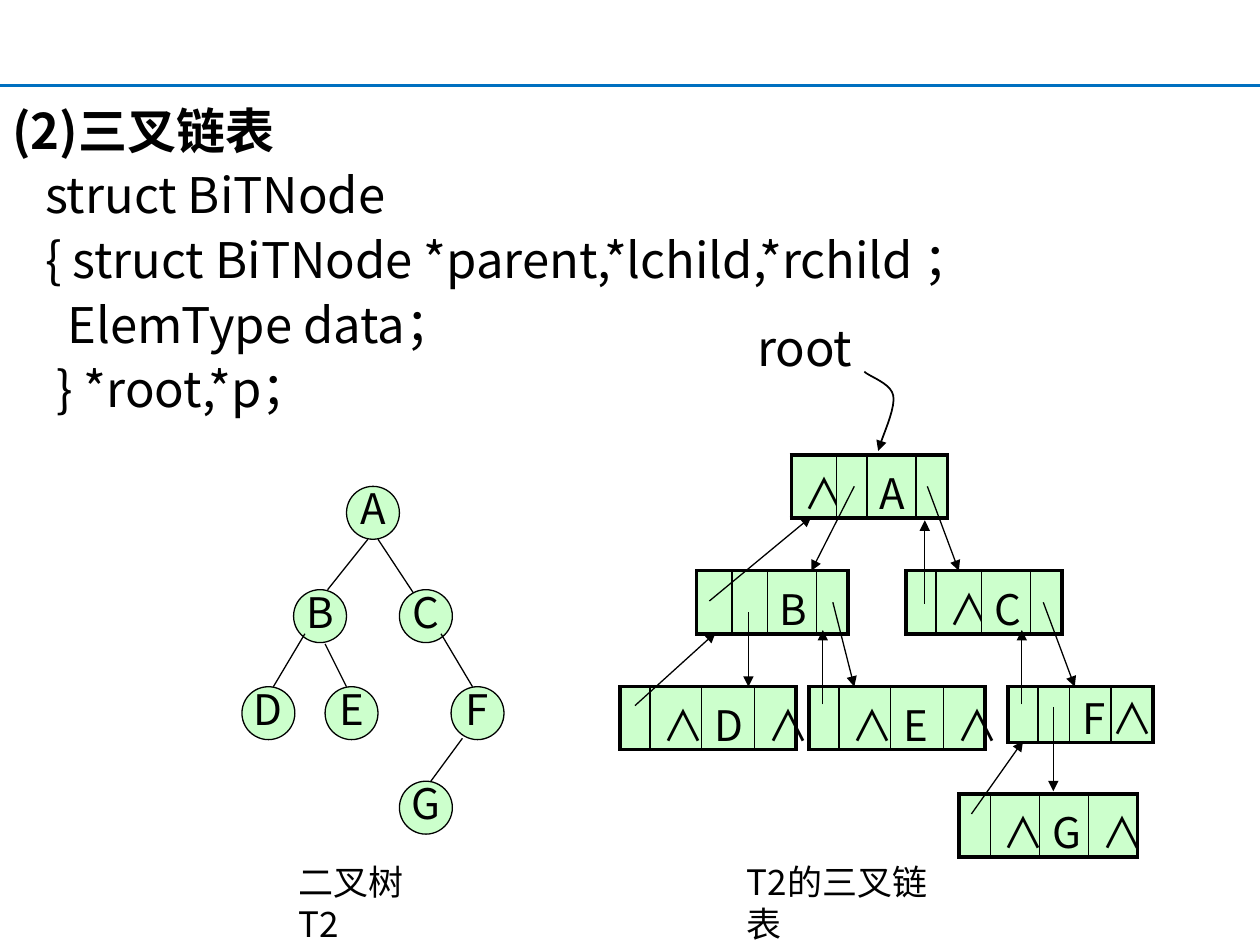
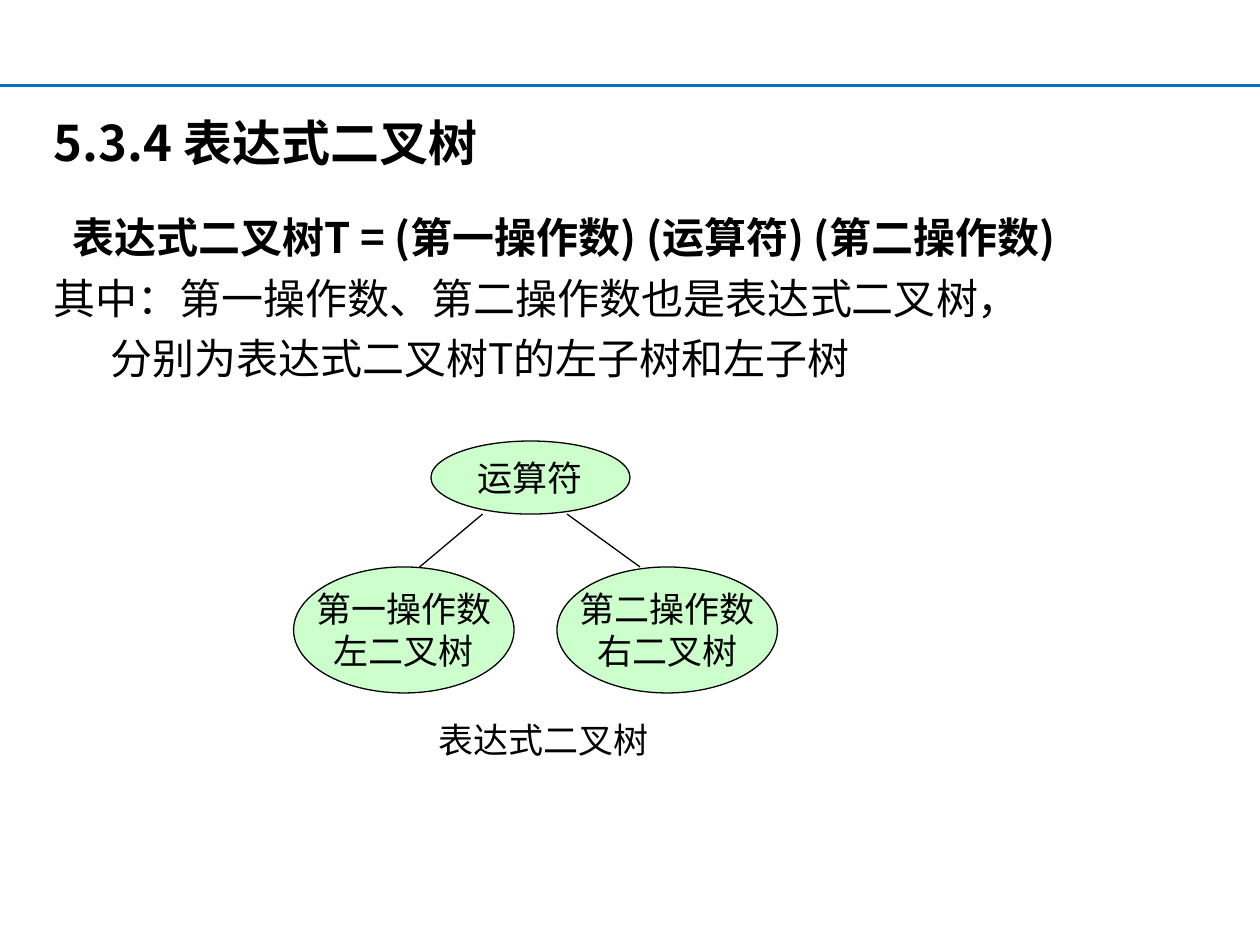
from pptx import Presentation
from pptx.dml.color import RGBColor
from pptx.enum.shapes import MSO_CONNECTOR, MSO_SHAPE
from pptx.enum.text import MSO_ANCHOR, PP_ALIGN
from pptx.oxml.ns import qn
from pptx.util import Inches, Pt
from lxml.etree import SubElement

FONT = "Noto Sans CJK SC"
BLACK = RGBColor(0x00, 0x00, 0x00)
RULE_BLUE = RGBColor(0x00, 0x70, 0xC0)
NODE_GREEN = RGBColor(0xCC, 0xFF, 0xCC)
NODE_SIZE = 0.42
THIN, THICK = 1, 2.25

TREE_NODES = {
    "C": (1.25, 0.82), "A": (0.83, 0), "F": (1.66, 1.59), "B": (0.41, 0.82),
    "D": (0, 1.59), "E": (0.66, 1.59), "G": (1.25, 2.34),
}
ROOT_EDGES = [((1, 0.42), (0.68, 0.82)), ((1.08, 0.42), (1.41, 0.92))]
LOWER_EDGES = [
    ((0.5, 1.17), (0.25, 1.59)), ((0.66, 1.25), (0.83, 1.59)),
    ((1.58, 1.17), (1.83, 1.59)), ((1.75, 2), (1.5, 2.34)),
]

# Each record: left, top, column widths, cell texts (parent, left, data, right)
RECORDS = [
    (1.36, 1.01, (0.36, 0.22, 0.39, 0.25), ("∧", "", "A", "")),
    (0.61, 1.93, (0.28, 0.28, 0.39, 0.25), ("", "", "B", "")),
    (2.27, 1.93, (0.22, 0.36, 0.39, 0.25), ("", "∧", "C", "")),
    (0, 2.85, (0.22, 0.41, 0.42, 0.33), ("", "∧", "D", "∧")),
    (1.5, 2.85, (0.22, 0.41, 0.42, 0.33), ("", "∧", "E", "∧")),
    (2.69, 3.7, (0.25, 0.39, 0.39, 0.39), ("", "∧", "G", "∧")),
]
COMPACT_RECORD = (3.08, 2.85, (0.22, 0.25, 0.33, 0.33), ("", "", "F", "∧"))
CHILD_POINTERS = [
    ((1.86, 1.26), (1.52, 1.93)), ((1.02, 2.26), (1.02, 2.85)),
    ((1.69, 2.18), (1.86, 2.85)), ((2.44, 1.26), (2.69, 1.93)),
    ((3.36, 2.18), (3.61, 2.85)), ((3.44, 3.01), (3.44, 3.68)),
]
PARENT_POINTERS = [
    ((0.71, 2.17), (1.52, 1.5)), ((0.12, 3), (0.76, 2.42)),
    ((1.61, 2.99), (1.61, 2.4)), ((2.42, 2.19), (2.42, 1.53)),
    ((2.79, 3.86), (3.2, 3.28)), ((3.19, 2.99), (3.19, 2.4)),
]
ROOT_CURVE = [
    ((1.94, 0.35), (1.98, 0.39), (2.15, 0.44), (2.17, 0.54)),
    ((2.17, 0.54), (2.19, 0.65), (2.07, 0.89), (2.05, 0.98)),
]


def add_run(paragraph, text, size, bold=False):
    run = paragraph.add_run()
    run.text = text
    run.font.size = Pt(size)
    run.font.bold = bold
    run.font.name = FONT
    run.font.color.rgb = BLACK
    SubElement(run.font._element, qn("a:ea"), typeface=FONT)


def fill_lines(frame, lines, size, spacing=1.0, alignment=None):
    """Write lines of (text, left indent, bold), one paragraph each."""
    for index, (text, indent, bold) in enumerate(lines):
        paragraph = frame.paragraphs[0] if index == 0 else frame.add_paragraph()
        paragraph.line_spacing = spacing
        paragraph.alignment = alignment
        if indent:
            paragraph._p.get_or_add_pPr().set("marL", str(Inches(indent)))
        add_run(paragraph, text, size, bold)


def add_text(slide, left, top, width, height, lines, size, spacing=1.0, wrap=True):
    box = slide.shapes.add_textbox(Inches(left), Inches(top), Inches(width), Inches(height))
    box.text_frame.word_wrap = wrap
    fill_lines(box.text_frame, lines, size, spacing)
    return box.text_frame


def add_arrowhead(line):
    SubElement(line._get_or_add_ln(), qn("a:tailEnd"), type="triangle")


def add_line(slide, origin, start, end, color=BLACK, width=0.75, arrow=False):
    left, top = origin
    connector = slide.shapes.add_connector(
        MSO_CONNECTOR.STRAIGHT, Inches(left + start[0]), Inches(top + start[1]),
        Inches(left + end[0]), Inches(top + end[1]))
    connector.line.color.rgb = color
    connector.line.width = Pt(width)
    if arrow:
        add_arrowhead(connector.line)
    SubElement(connector._element.spPr, qn("a:effectLst"))


def add_ellipse(slide, left, top, width, height, texts, size, spacing=1.0):
    ellipse = slide.shapes.add_shape(
        MSO_SHAPE.OVAL, Inches(left), Inches(top), Inches(width), Inches(height))
    ellipse.shadow.inherit = False
    ellipse.fill.solid()
    ellipse.fill.fore_color.rgb = NODE_GREEN
    ellipse.line.color.rgb = BLACK
    ellipse.line.width = Pt(0.75)
    frame = ellipse.text_frame
    frame.word_wrap = False
    frame.vertical_anchor = MSO_ANCHOR.MIDDLE
    fill_lines(frame, [(text, 0, False) for text in texts], size, spacing, PP_ALIGN.CENTER)


def set_borders(cell, left, right):
    properties = cell._tc.get_or_add_tcPr()
    sides = {"a:lnL": left, "a:lnR": right, "a:lnT": THICK, "a:lnB": THICK}
    for position, (tag, width) in enumerate(sides.items()):
        border = SubElement(properties, qn(tag), w=str(Pt(width)))
        fill = SubElement(border, qn("a:solidFill"))
        SubElement(fill, qn("a:srgbClr"), val=str(BLACK))
        properties.insert(position, border)


def add_record(slide, origin, record, height=0.5, spacing=1.0):
    """Draw one four-field list node and return its table."""
    left, top, widths, texts = record
    table = slide.shapes.add_table(
        1, len(widths), Inches(origin[0] + left), Inches(origin[1] + top),
        Inches(sum(widths)), Inches(height)).table
    table.first_row = table.horz_banding = False
    last = len(widths) - 1
    for index, (width, text) in enumerate(zip(widths, texts)):
        table.columns[index].width = Inches(width)
        cell = table.cell(0, index)
        cell.fill.solid()
        cell.fill.fore_color.rgb = NODE_GREEN
        set_borders(cell, THICK if index == 0 else THIN, THICK if index == last else THIN)
        if text:
            fill_lines(cell.text_frame, [(text, 0, False)], 24, spacing)
    return table


def bezier_points(segment, steps=10):
    for step in range(steps + 1):
        t = step / steps
        weights = ((1 - t) ** 3, 3 * t * (1 - t) ** 2, 3 * t ** 2 * (1 - t), t ** 3)
        yield tuple(sum(w * point[axis] for w, point in zip(weights, segment))
                    for axis in (0, 1))


def add_root_pointer(slide, left, top):
    points = [(Inches(left + x), Inches(top + y))
              for segment in ROOT_CURVE for x, y in bezier_points(segment)]
    builder = slide.shapes.build_freeform(*points[0])
    builder.add_line_segments(points[1:], close=False)
    curve = builder.convert_to_shape()
    curve.shadow.inherit = False
    curve.fill.background()
    curve.line.color.rgb = BLACK
    curve.line.width = Pt(1)
    add_arrowhead(curve.line)


def add_binary_tree(slide, left, top):
    origin = (left, top)
    for start, end in ROOT_EDGES:
        add_line(slide, origin, start, end)
    for name, (x, y) in TREE_NODES.items():
        add_ellipse(slide, left + x, top + y, NODE_SIZE, NODE_SIZE, [name], 24, 0.8)
    for start, end in LOWER_EDGES:
        add_line(slide, origin, start, end)
    add_text(slide, left + 0.35, top + 2.92, 1.31, 0.43, [("二叉树T2", 0, False)], 20)


def add_linked_list(slide, left, top):
    origin = (left, top)
    for record in RECORDS:
        add_record(slide, origin, record)
    compact = add_record(slide, origin, COMPACT_RECORD, 0.44, 0.85)
    right_child = compact.cell(0, 3)
    right_child.margin_left = right_child.margin_right = 0
    for start, end in CHILD_POINTERS + PARENT_POINTERS:
        add_line(slide, origin, start, end, arrow=True)
    add_text(slide, left + 0.99, top, 1.11, 0.43, [("root", 0, False)], 28, 0.7)
    add_root_pointer(slide, left, top)
    add_text(slide, left + 0.91, top + 4.18, 1.86, 0.43, [("T2的三叉链表", 0, False)], 20)


def add_expression_tree(slide, left, top):
    origin = (left, top)
    add_ellipse(slide, left + 1.09, top, 1.58, 0.58, ["运算符"], 20)
    operands = [("第一操作数", "左二叉树"), ("第二操作数", "右二叉树")]
    for index, texts in enumerate(operands):
        add_ellipse(slide, left + 2.09 * index, top + 1, 1.75, 1, texts, 20)
    add_line(slide, origin, (1.5, 0.58), (1, 1))
    add_line(slide, origin, (2.17, 0.58), (2.75, 1))
    add_text(slide, left + 1.05, top + 2.15, 1.87, 0.43,
             [("表达式二叉树", 0, False)], 20, wrap=False)


def add_ruled_slide(presentation):
    slide = presentation.slides.add_slide(presentation.slide_layouts[6])
    add_line(slide, (0, 0.68), (0, 0), (10, 0), RULE_BLUE, 1.5)
    return slide


def build_linked_list_slide(presentation):
    slide = add_ruled_slide(presentation)
    add_text(slide, 0, 0.7, 9.42, 2.3, [
        ("(2)三叉链表", 0, True),
        ("struct BiTNode", 0.26, False),
        ("{ struct BiTNode *parent,*lchild,*rchild ；", 0.26, False),
        ("ElemType data；", 0.44, False),
        ("} *root,*p；", 0.35, False),
    ], 28, 1.1)
    add_binary_tree(slide, 1.92, 3.86)
    add_linked_list(slide, 4.92, 2.6)


def build_expression_slide(presentation):
    slide = add_ruled_slide(presentation)
    frame = add_text(slide, 0.33, 0.75, 9.08, 2.92, [
        ("5.3.4 表达式二叉树", 0, True),
        ("表达式二叉树T = (第一操作数) (运算符) (第二操作数)", 0.15, True),
        ("其中：第一操作数、第二操作数也是表达式二叉树，", 0, False),
        ("分别为表达式二叉树T的左子树和左子树", 0.45, False),
    ], 24, 1.2)
    heading = frame.paragraphs[0]
    heading.runs[0].font.size = Pt(28)
    heading.space_after = Pt(17.4)
    add_expression_tree(slide, 2.33, 3.5)


def main():
    presentation = Presentation()
    presentation.slide_width = Inches(10)
    presentation.slide_height = Inches(7.5)
    build_linked_list_slide(presentation)
    build_expression_slide(presentation)
    presentation.save("out.pptx")


if __name__ == "__main__":
    main()
